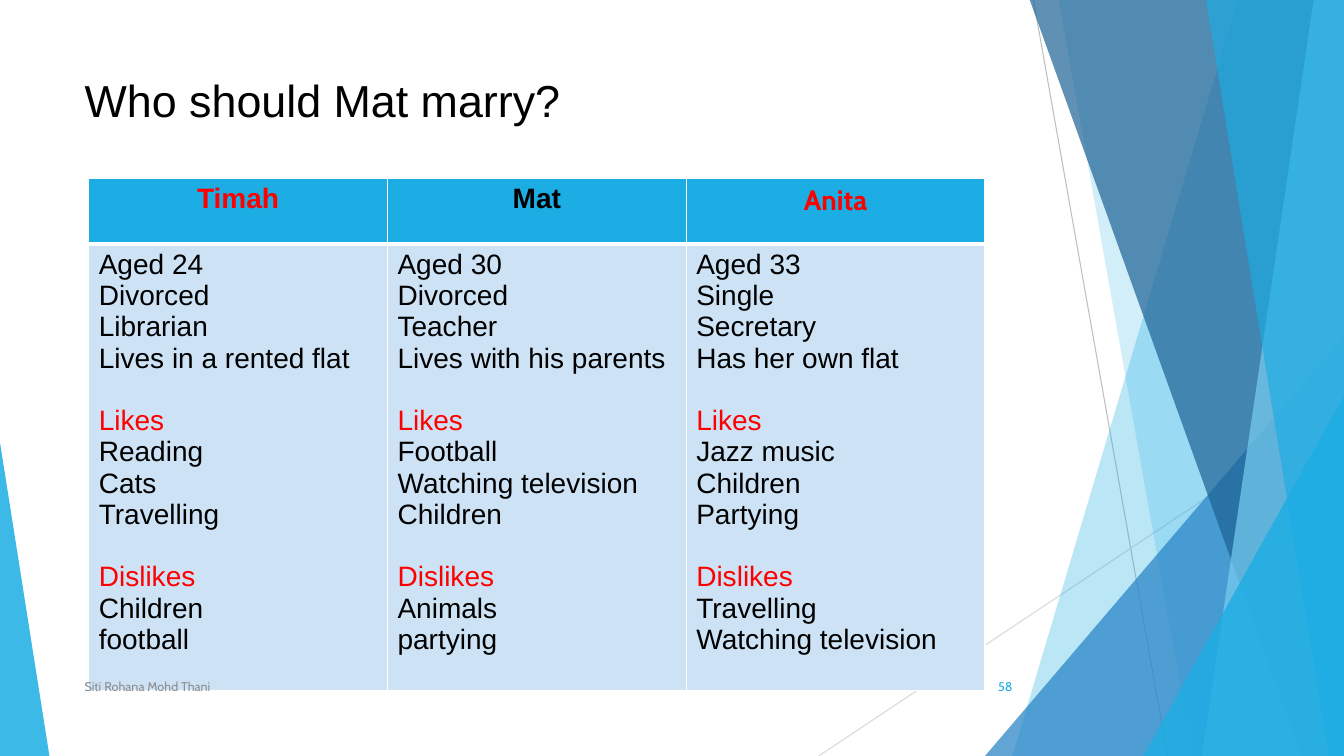
"""Builds the slide that compares Timah, Mat and Anita."""
from lxml.etree import SubElement
from pptx import Presentation
from pptx.dml.color import RGBColor
from pptx.enum.shapes import MSO_CONNECTOR, MSO_SHAPE
from pptx.enum.text import MSO_ANCHOR, PP_ALIGN
from pptx.oxml import parse_xml
from pptx.oxml.ns import nsdecls, qn
from pptx.util import Inches, Pt

TITLE = "Who should Mat marry?"
FOOTER = "Siti Rohana Mohd Thani"
NUMBER = "58"
HEADS = ("Likes", "Dislikes")
PEOPLE = [
    ("Timah", "red", "Arial", [
        "Aged 24", "Divorced", "Librarian", "Lives in a rented flat",
        "Likes", "Reading", "Cats", "Travelling",
        "Dislikes", "Children", "football"]),
    ("Mat", "black", "Arial", [
        "Aged 30", "Divorced", "Teacher", "Lives with his parents",
        "Likes", "Football", "Watching television", "Children",
        "Dislikes", "Animals", "partying"]),
    ("Anita", "red", "Cabin", [
        "Aged 33", "Single", "Secretary", "Has her own flat",
        "Likes", "Jazz music", "Children", "Partying",
        "Dislikes", "Travelling", "Watching television"]),
]
THEME = {
    "black": "000000", "red": "FF0000", "white": "FFFFFF", "gray": "8C8C8C",
    "sky": "1CADE4", "blue": "2683C6", "navy": "1D6294", "pale": "77CEEF",
    "cell": "CDE3F5", "rule": "BFBFBF", "faint": "D9D9D9",
    "title": 32, "body": 20, "small": 9, "gap": 22.4,
}
WIDE, HIGH = 13.33, 7.5
RULES = [("rule", 10.25, 0, 11.58, HIGH), ("faint", WIDE, 4.03, 8.12, HIGH)]
PANES = [
    ("sky", 30, (12.28, 10.04)),
    ("sky", 20, (10.5, 11.83)),
    ("blue", 72, (9.77, 3.33, 3.56, 1)),
    ("navy", 70, (10.21, 12.91)),
    ("pale", 70, (13.03, 11.92)),
    ("sky", 65, (11.96, 13.18)),
    ("sky", 80, (11.34, 3.93, 1.99, 1)),
    ("sky", 85, (0, 4.39, 0.49, 0)),
]
LEFT, TOP, COL, ROWS = 0.88, 1.77, 2.963, (0.65, 4.43)


def color(name):
    return RGBColor.from_string(THEME[name])


def style(para, text, size, tint, face="Arial", bold=False, align=PP_ALIGN.LEFT):
    para.text = text
    para.alignment = align
    font = para.font
    font.size, font.name, font.bold = Pt(THEME[size]), face, bold
    font.color.rgb = color(tint)


def add_rule(slide, tint, *ends):
    rule = slide.shapes.add_connector(MSO_CONNECTOR.STRAIGHT, *map(Inches, ends))
    rule.line.color.rgb = color(tint)
    rule.line.width = Pt(0.75)
    SubElement(rule._element.spPr, qn("a:effectLst"))


def add_pane(slide, tint, alpha, form):
    if len(form) == 2:
        top, base = form
        pen = slide.shapes.build_freeform(Inches(top), Inches(-0.01))
        spots = [(WIDE, -0.01), (WIDE, HIGH), (base, HIGH)]
        pen.add_line_segments([(Inches(x), Inches(y)) for x, y in spots])
        pane = pen.convert_to_shape()
    else:
        left, top, width, tip = form
        pane = slide.shapes.add_shape(
            MSO_SHAPE.ISOSCELES_TRIANGLE, *map(Inches, (left, top, width, HIGH - top)))
        pane.adjustments[0] = tip
    pane.shadow.inherit = False
    pane.fill.solid()
    pane.fill.fore_color.rgb = color(tint)
    pane.line.fill.background()
    paint = next(pane._element.iter(qn("a:srgbClr")))
    SubElement(paint, qn("a:alpha"), val=str(alpha * 1000))


def add_note(slide, place, text, tint, align):
    frame = slide.shapes.add_textbox(*map(Inches, place)).text_frame
    frame.word_wrap = True
    frame.vertical_anchor = MSO_ANCHOR.MIDDLE
    style(frame.paragraphs[0], text, "small", tint, "Cabin", align=align)


def paint_cell(cell, tint, widths):
    cell.fill.solid()
    cell.fill.fore_color.rgb = color(tint)
    props = cell._tc.get_or_add_tcPr()
    for spot, (side, width) in enumerate(zip("LRTB", widths)):
        props.insert(spot, parse_xml(
            f'<a:ln{side} {nsdecls("a")} w="{Pt(width)}"><a:solidFill>'
            f'<a:srgbClr val="{THEME["white"]}"/></a:solidFill></a:ln{side}>'))


def add_grid(slide):
    place = LEFT, TOP, COL * len(PEOPLE), sum(ROWS)
    grid = slide.shapes.add_table(len(ROWS), len(PEOPLE), *map(Inches, place)).table
    for row, height in zip(grid.rows, ROWS):
        row.height = Inches(height)
    for col, (name, tint, face, facts) in enumerate(PEOPLE):
        grid.columns[col].width = Inches(COL)
        head, body = grid.cell(0, col), grid.cell(1, col)
        paint_cell(head, "sky", (1, 1, 1, 3))
        paint_cell(body, "cell", (1, 1, 3, 1))
        style(head.text_frame.paragraphs[0], name, "body", tint, face, True, PP_ALIGN.CENTER)
        frame = body.text_frame
        for spot, fact in enumerate(facts):
            para = frame.add_paragraph() if spot else frame.paragraphs[0]
            style(para, fact, "body", "red" if fact in HEADS else "black")
            if fact in HEADS:
                para.space_before = Pt(THEME["gap"])


def main():
    deck = Presentation()
    deck.slide_width, deck.slide_height = Inches(WIDE), Inches(HIGH)
    slide = deck.slides.add_slide(deck.slide_layouts[5])
    for rule in RULES:
        add_rule(slide, *rule)
    for pane in PANES:
        add_pane(slide, *pane)
    title = slide.shapes.title
    title.left, title.top, title.width, title.height = map(Inches, (0.74, 0.67, 9.4, 1.44))
    title.text_frame.vertical_anchor = MSO_ANCHOR.TOP
    style(title.text_frame.paragraphs[0], TITLE, "title", "black")
    add_note(slide, (9.39, 6.61, 0.75, 0.4), NUMBER, "sky", PP_ALIGN.RIGHT)
    add_grid(slide)
    add_note(slide, (0.74, 6.61, 6.89, 0.4), FOOTER, "gray", PP_ALIGN.LEFT)
    deck.save("out.pptx")


if __name__ == "__main__":
    main()
